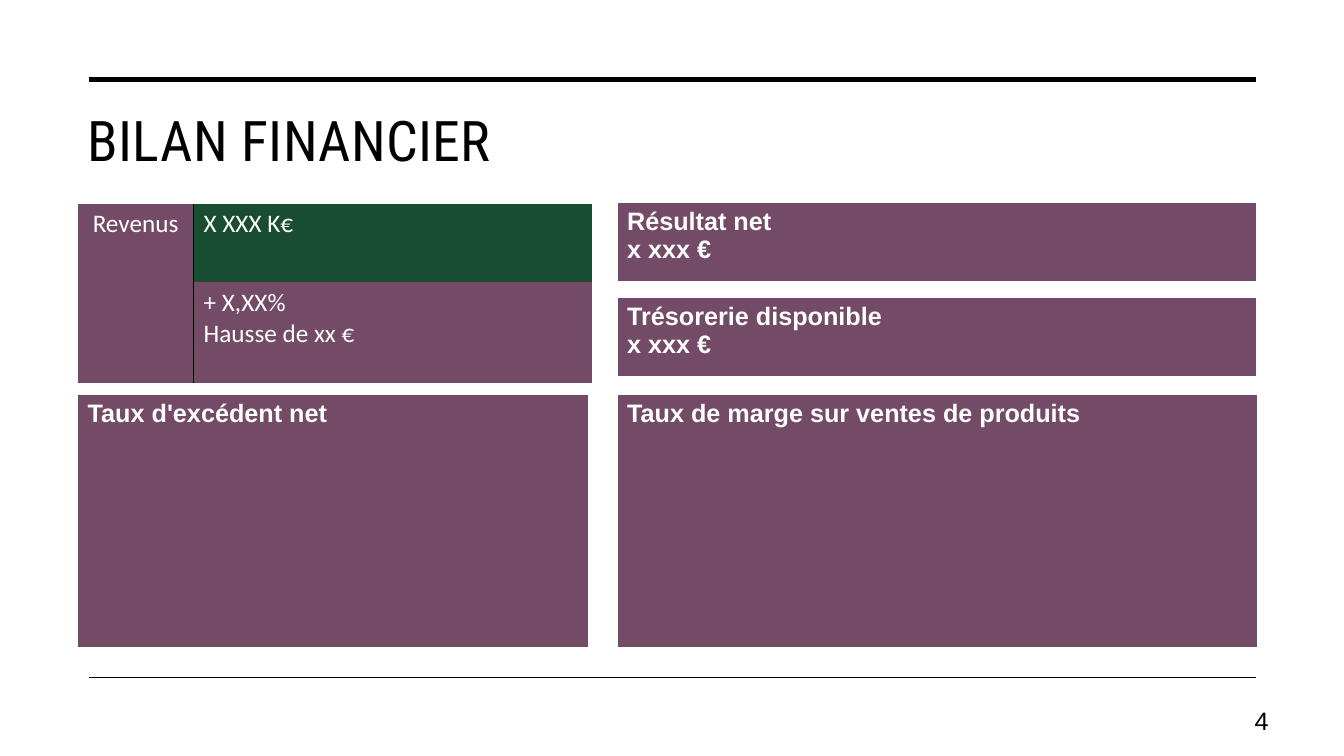
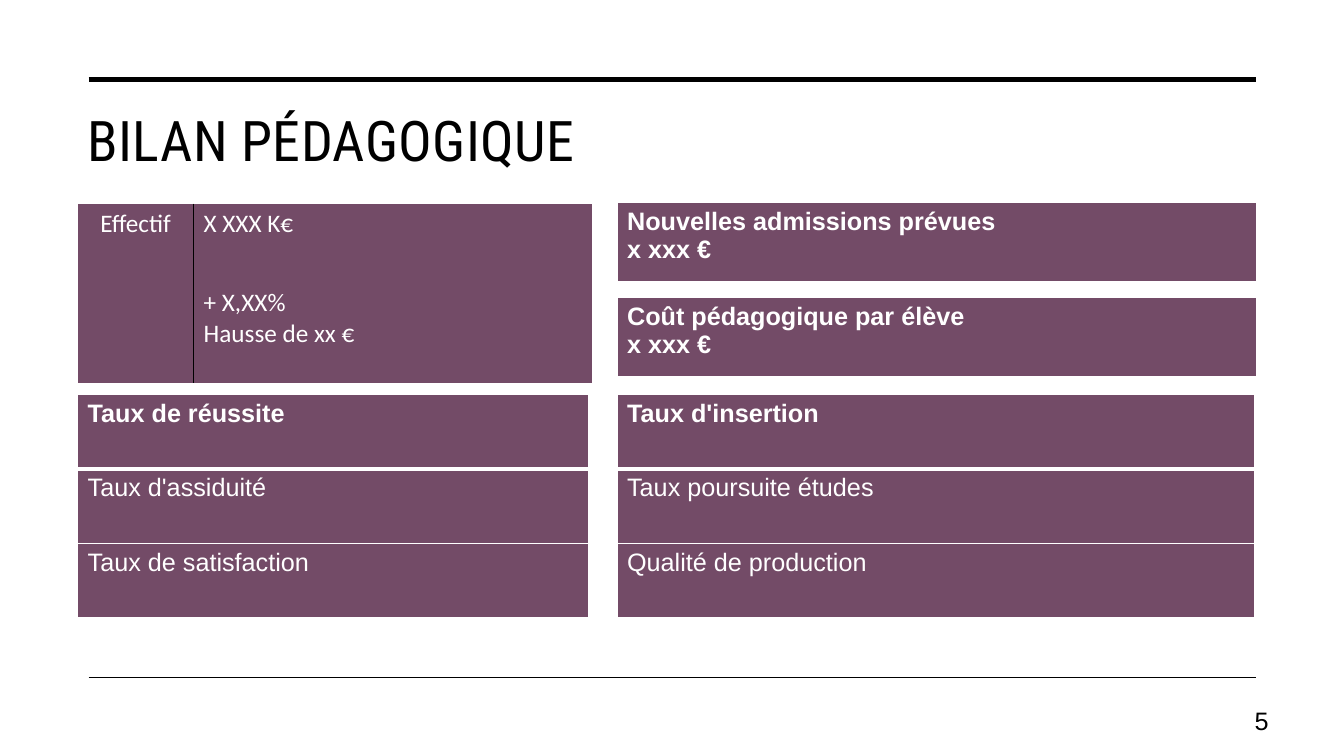
import pptx
import pptx.dml.color
import pptx.enum.shapes
import pptx.enum.text
import pptx.oxml.ns
import pptx.util
from lxml import etree

Inches = pptx.util.Inches
Pt = pptx.util.Pt
RGBColor = pptx.dml.color.RGBColor
qn = pptx.oxml.ns.qn
PP_ALIGN = pptx.enum.text.PP_ALIGN
MSO_ANCHOR = pptx.enum.text.MSO_ANCHOR

BLACK = RGBColor(0x00, 0x00, 0x00)
WHITE = RGBColor(0xFF, 0xFF, 0xFF)
PLUM = RGBColor(0x73, 0x4B, 0x67)
GREEN = RGBColor(0x18, 0x4D, 0x31)

PLAIN_TABLE_STYLE = "{2D5ABB26-0587-4C30-8999-92F81FD0307C}"
LEFT, RIGHT_COLUMN = 0.77, 6.12
LOWER_TOP = 3.91

SLIDES = [
    {
        "title": "BILAN FINANCIER",
        "number": "4",
        "headline": "Revenus",
        "headline_fill": GREEN,
        "figures": ["Résultat net", "Trésorerie disponible"],
        "rates": [["Taux d'excédent net"], ["Taux de marge sur ventes de produits"]],
        "rate_widths": [5.07, 6.35],
        "rate_height": 2.53,
    },
    {
        "title": "BILAN PÉDAGOGIQUE",
        "number": "5",
        "headline": "Effectif",
        "headline_fill": PLUM,
        "figures": ["Nouvelles admissions prévues", "Coût pédagogique par élève"],
        "rates": [
            ["Taux de réussite", "Taux d'assiduité", "Taux de satisfaction"],
            ["Taux d'insertion", "Taux poursuite études", "Qualité de production"],
        ],
        "rate_widths": [5.07, 6.32],
        "rate_height": 0.74,
    },
]


def write_cell(cell, lines, font, borders, fill=PLUM, bold=False, align=PP_ALIGN.LEFT):
    """Fill a cell and set its text; borders maps L, R, T, B to (colour, points)."""
    paragraph = cell.text_frame.paragraphs[0]
    paragraph.alignment = align
    for index, line in enumerate(lines):
        if index:
            paragraph.add_line_break()
        run = paragraph.add_run()
        run.text = line
        run.font.name = font
        run.font.size = Pt(18)
        run.font.bold = bold
        run.font.color.rgb = WHITE
    cell.fill.solid()
    cell.fill.fore_color.rgb = fill
    properties = cell._tc.get_or_add_tcPr()
    sides = [side for side in "LRTB" if side in borders]
    for position, side in enumerate(sides):
        color, points = borders[side]
        edge = etree.Element(qn("a:ln" + side), w=str(Pt(points)))
        solid = etree.SubElement(edge, qn("a:solidFill"))
        etree.SubElement(solid, qn("a:srgbClr"), val=str(color))
        properties.insert(position, edge)


def add_plain_table(slide, left, top, widths, heights):
    frame = slide.shapes.add_table(
        len(heights), len(widths), Inches(left), Inches(top),
        Inches(sum(widths)), Inches(sum(heights)))
    table = frame.table
    table.first_row = False
    table.horz_banding = False
    table._tbl.tblPr.find(qn("a:tableStyleId")).text = PLAIN_TABLE_STYLE
    for column, width in zip(table.columns, widths):
        column.width = Inches(width)
    for row, height in zip(table.rows, heights):
        row.height = Inches(height)
    return table


prs = pptx.Presentation()
prs.slide_width = Inches(13.33)
prs.slide_height = Inches(7.5)

layout = prs.slide_layouts.get_by_name("Title Only")
layout_title = layout.placeholders[0]
layout_title.left, layout_title.top = Inches(LEFT), Inches(1)
layout_title.width, layout_title.height = Inches(11.69), Inches(1.43)

slides = [prs.slides.add_slide(layout) for content in SLIDES]

# Rules shared by every slide live on the layout
for y, weight in [(0.79, 3.5), (6.72, 1)]:
    rule = slides[0].shapes.add_connector(
        pptx.enum.shapes.MSO_CONNECTOR.STRAIGHT,
        Inches(0.88), Inches(y), Inches(12.46), Inches(y))
    rule.line.color.rgb = BLACK
    rule.line.width = Pt(weight)
    etree.SubElement(rule.element.spPr, qn("a:effectLst"))
    layout.shapes.element.append(rule.element)

for slide, content in zip(slides, SLIDES):
    title_frame = slide.shapes.title.text_frame
    title_frame.vertical_anchor = MSO_ANCHOR.TOP
    title_paragraph = title_frame.paragraphs[0]
    title_paragraph.alignment = PP_ALIGN.LEFT
    title_run = title_paragraph.add_run()
    title_run.text = content["title"]
    title_run.font.name = "Roboto Condensed"
    title_run.font.size = Pt(40)
    title_run.font.color.rgb = BLACK
    title_run._r.get_or_add_rPr().set("spc", "30")

    headline = add_plain_table(slide, LEFT, 2.02, [1.15, 3.95], [0.78, 1])
    headline_rows = [
        ([content["headline"]], ["X XXX K€"], content["headline_fill"]),
        ([""], ["+ X,XX%", "Hausse de xx €"], PLUM),
    ]
    divider = (BLACK, 0.25)
    for row, (label, value, fill) in enumerate(headline_rows):
        write_cell(headline.cell(row, 0), label, "Calibri", {"R": divider},
                   align=PP_ALIGN.CENTER)
        write_cell(headline.cell(row, 1), value, "Calibri", {"L": divider}, fill)

    thin, thick = (WHITE, 1), (WHITE, 3)
    header_borders = {"L": thin, "R": thin, "T": thin, "B": thick}
    for index, figure in enumerate(content["figures"]):
        figure_table = add_plain_table(slide, RIGHT_COLUMN, 2.01 + 0.94 * index, [6.34], [0.8])
        write_cell(figure_table.cell(0, 0), [figure, "x xxx €"], "Arial",
                   header_borders, bold=True)

    for left, width, rates in zip([LEFT, RIGHT_COLUMN], content["rate_widths"], content["rates"]):
        rate_table = add_plain_table(
            slide, left, LOWER_TOP, [width], [content["rate_height"]] * len(rates))
        for row, rate in enumerate(rates):
            borders = dict(header_borders, T=thick if row == 1 else thin,
                           B=thick if row == 0 else thin)
            write_cell(rate_table.cell(row, 0), [rate], "Arial", borders, bold=row == 0)

    page_number = slide.shapes.add_textbox(
        Inches(11.94), Inches(6.95), Inches(0.74), Inches(0.4)).text_frame
    page_number.word_wrap = True
    page_number.vertical_anchor = MSO_ANCHOR.MIDDLE
    number_paragraph = page_number.paragraphs[0]
    number_paragraph.alignment = PP_ALIGN.RIGHT
    number_run = number_paragraph.add_run()
    number_run.text = content["number"]
    number_run.font.name = "Arial"
    number_run.font.size = Pt(18)
    number_run.font.color.rgb = BLACK

prs.save("out.pptx")
